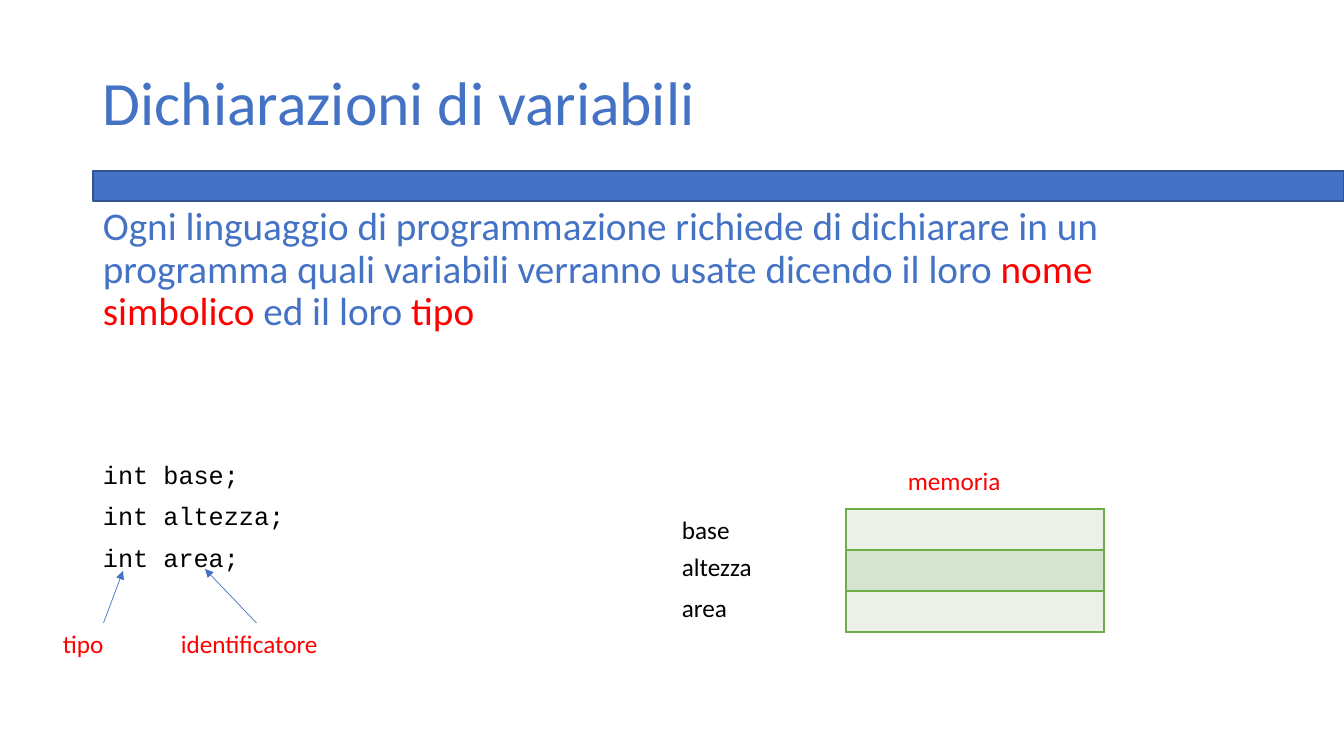
from dataclasses import dataclass
from lxml import etree
from pptx import Presentation
from pptx.dml.color import RGBColor
from pptx.enum.shapes import MSO_CONNECTOR, MSO_SHAPE
from pptx.enum.text import MSO_ANCHOR
from pptx.oxml import parse_xml
from pptx.oxml.ns import nsdecls, qn
from pptx.util import Pt

RECT = MSO_SHAPE.RECTANGLE
LINE = MSO_CONNECTOR.STRAIGHT
TOP, MIDDLE = MSO_ANCHOR.TOP, MSO_ANCHOR.MIDDLE


@dataclass(frozen=True)
class Theme:
    blue: str = "4472C4"
    edge: str = "325491"
    red: str = "FF0000"
    black: str = "000000"
    green: str = "70AD47"
    pale: str = "EBF1E9"
    mid: str = "D5E3CF"
    sans: str = "Calibri"
    mono: str = "Courier New"
    title: int = 44
    body: int = 28
    small: int = 18


T = Theme()

# Content: runs are (text, colour), boxes are left, top, width, height in px
TITLE = [("Dichiarazioni di variabili", T.blue)]
INTRO = [
    ("Ogni linguaggio di programmazione richiede di dichiarare in un "
     "programma quali variabili verranno usate dicendo il loro ", T.blue),
    ("nome simbolico", T.red),
    (" ed il loro ", T.blue),
    ("tipo", T.red),
]
CODE = ["int base;", "int altezza;", "int area;"]
NOTES = [  # text, box, arrow tip
    ("tipo", (53, 623, 101, 42), (123, 571)),
    ("identificatore", (171, 623, 171, 40), (205, 569)),
]
MEMORY = ("memoria", (898, 460, 137, 40))
NAMES = [("base", 509), ("altezza", 546), ("area", 587)]
BAR = (93, 171, 1251, 30)
CELLS = (846, 509, 258, 123)
FILLS = [T.pale, T.mid, T.pale]

SCALE = 914400 / 100.8


def px(*vals):
    return [round(v * SCALE) for v in vals]


def rgb(code):
    return RGBColor.from_string(code)


def write(box, paras, size, face=T.sans, anchor=TOP, **form):
    """Add a text box; paras is a list of run lists."""
    shape = slide.shapes.add_textbox(*px(*box))
    frame = shape.text_frame
    frame.word_wrap = True
    frame.vertical_anchor = anchor
    for i, runs in enumerate(paras):
        para = frame.paragraphs[0] if i == 0 else frame.add_paragraph()
        for key, val in form.items():
            if i or key != "space_before":
                setattr(para, key, val)
        for text, tint in runs:
            run = para.add_run()
            run.text = text
            for key, val in {"name": face, "size": Pt(size)}.items():
                setattr(run.font, key, val)
            run.font.color.rgb = rgb(tint)
    return shape


def arrow(label, tip):
    """Draw an arrow from the top of a label to the tip."""
    link = slide.shapes.add_connector(LINE, 0, 0, *px(*tip))
    link.begin_connect(label, 0)
    link.line.color.rgb = rgb(T.blue)
    link.line.width = Pt(0.5)
    etree.SubElement(link.line._get_or_add_ln(), qn("a:tailEnd"), type="triangle")
    etree.SubElement(link._element.spPr, qn("a:effectLst"))


def border(cell):
    """Frame all four sides of a cell, ahead of its fill."""
    props = cell._tc.get_or_add_tcPr()
    for i, side in enumerate(("lnL", "lnR", "lnT", "lnB")):
        props.insert(i, parse_xml(
            f'<a:{side} {nsdecls("a")} w="{Pt(1)}"><a:solidFill>'
            f'<a:srgbClr val="{T.green}"/></a:solidFill></a:{side}>'))


deck = Presentation()
deck.slide_width, deck.slide_height = px(1344, 756)
slide = deck.slides.add_slide(deck.slide_layouts[6])

# Blue bar
bar = slide.shapes.add_shape(RECT, *px(*BAR))
bar.shadow.inherit = False
bar.fill.solid()
bar.fill.fore_color.rgb = rgb(T.blue)
bar.line.color.rgb = rgb(T.edge)
bar.line.width = Pt(1)

# Title, introduction and code
write((93, 40, 1159, 131), [TITLE], T.title, anchor=MIDDLE, line_spacing=0.9)
write((93, 202, 1159, 140), [INTRO], T.body, line_spacing=0.9)
write((93, 458, 500, 130), [[(row, T.black)] for row in CODE], T.small,
      T.mono, line_spacing=0.9, space_before=Pt(10))

# Labels with arrows to the code
for text, box, tip in NOTES:
    arrow(write(box, [[(text, T.red)]], T.small), tip)

# Memory table
table = slide.shapes.add_table(len(FILLS), 1, *px(*CELLS)).table
for key in ("first_row", "horz_banding"):
    setattr(table, key, False)
for i, tint in enumerate(FILLS):
    cell = table.cell(i, 0)
    cell.fill.solid()
    cell.fill.fore_color.rgb = rgb(tint)
    border(cell)

# Memory labels
text, box = MEMORY
write(box, [[(text, T.red)]], T.small)
for text, top in NAMES:
    write((672, top, 143, 40), [[(text, T.black)]], T.small)

deck.save("out.pptx")
